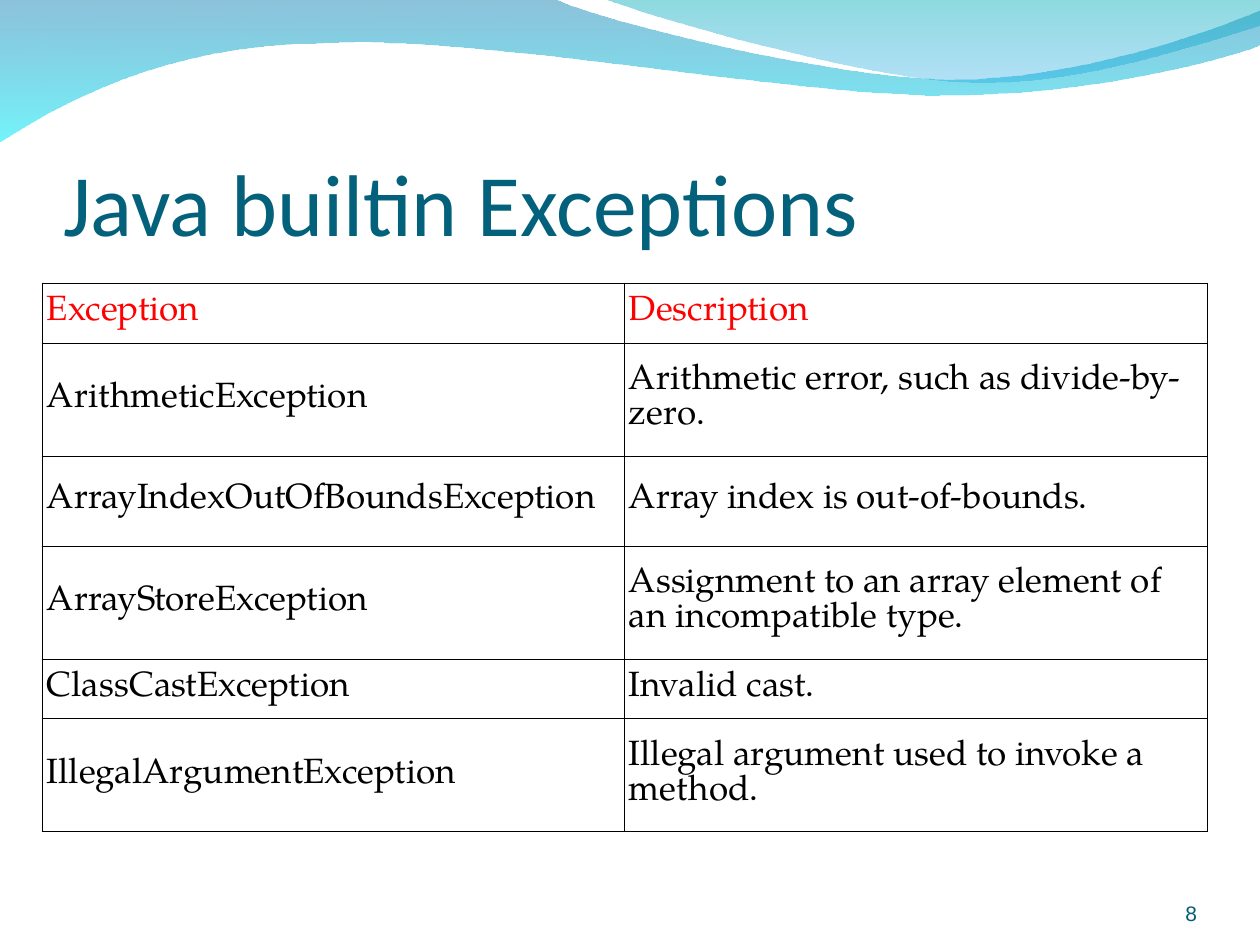
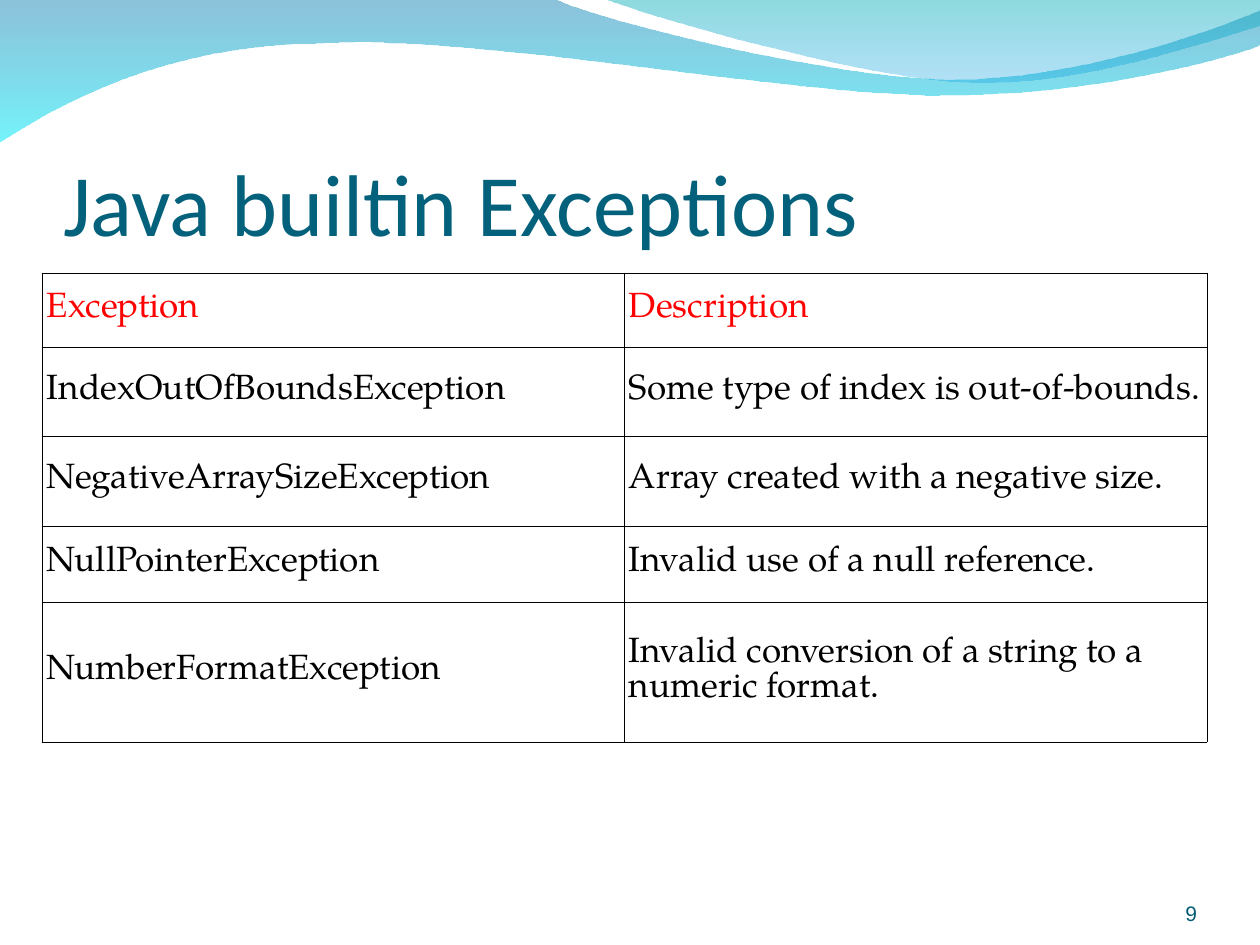
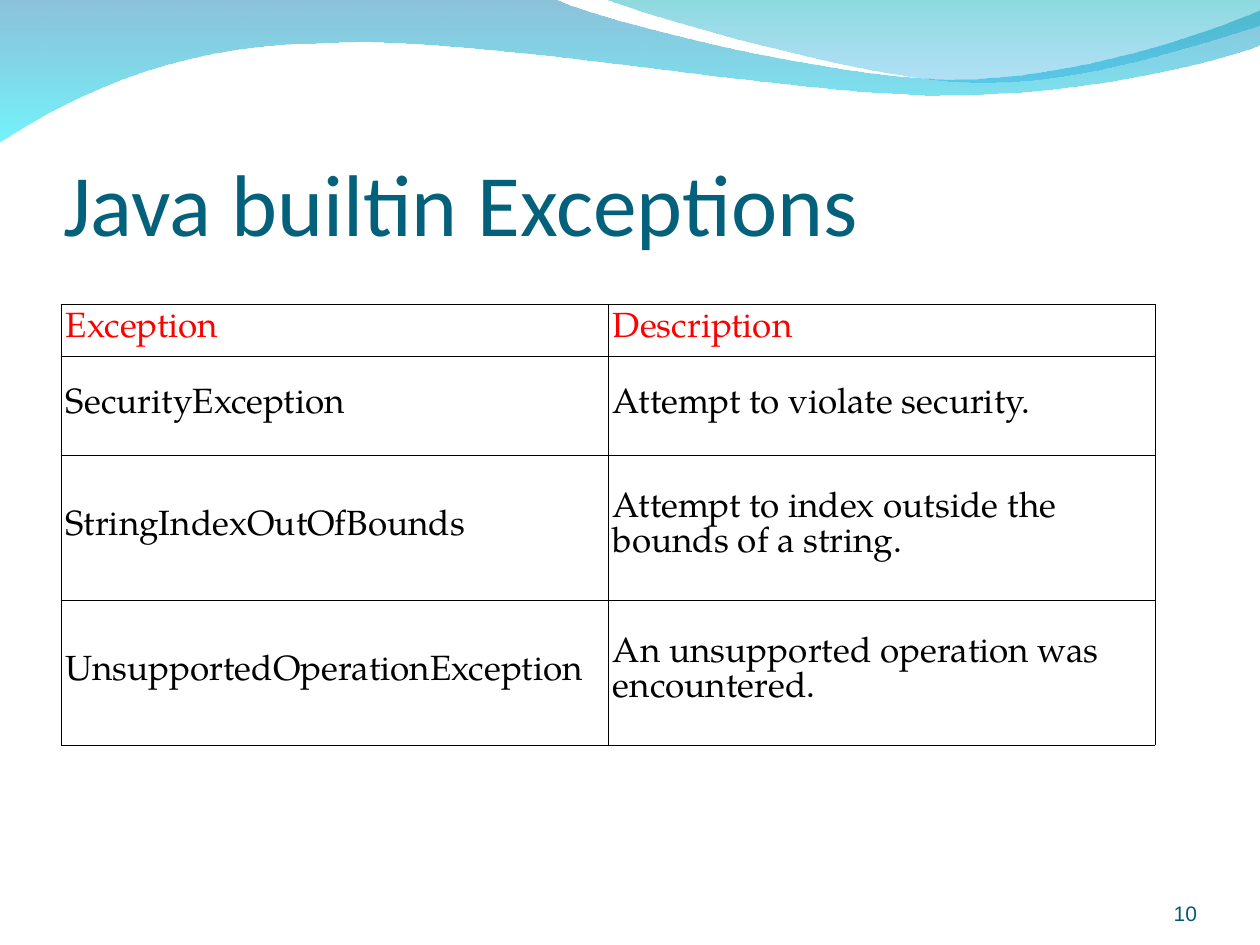
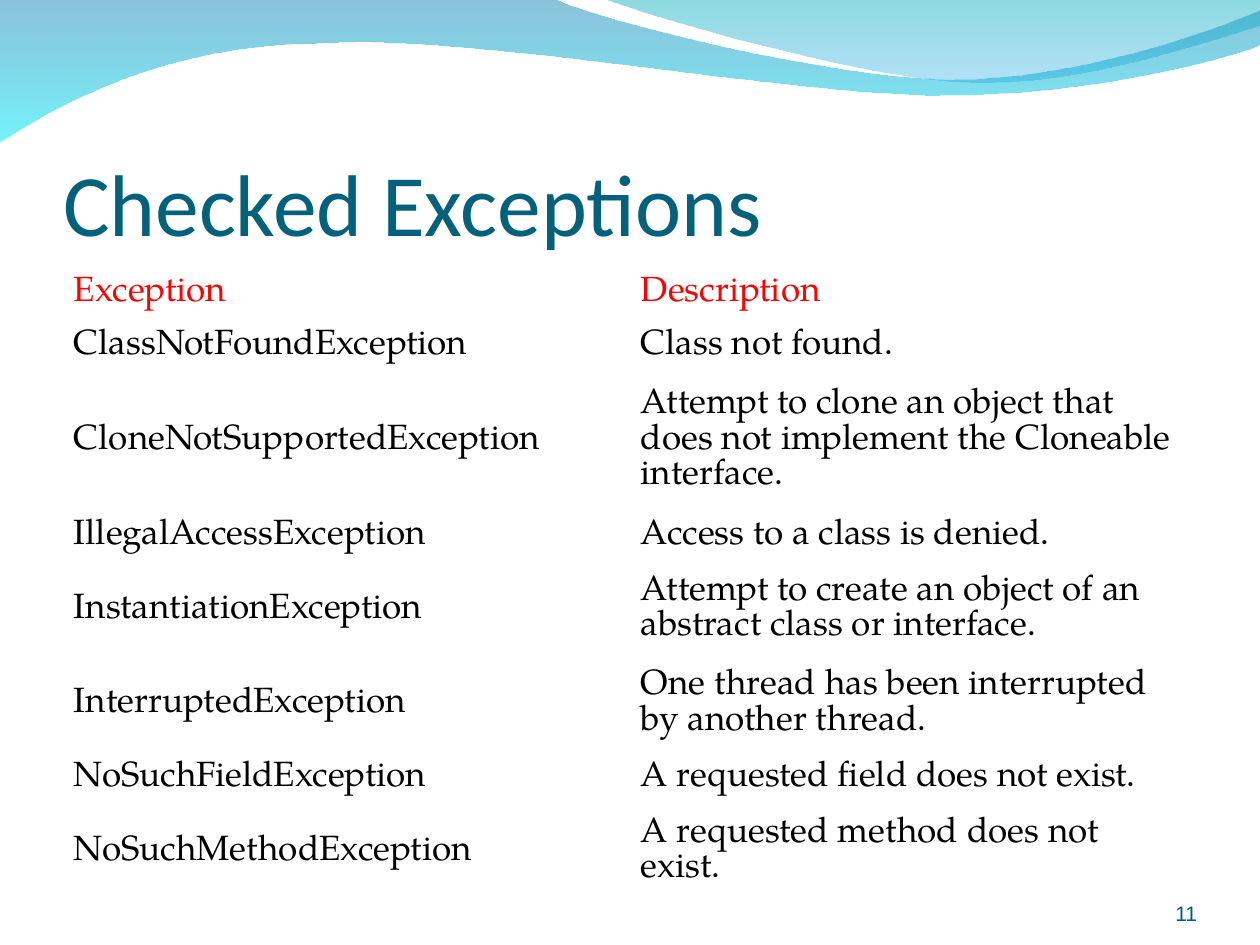
"""Build four slides on Java exceptions: wave band, title, table and page number."""
from lxml import etree
from pptx import Presentation
from pptx import util as u
from pptx.dml import color
from pptx.enum import text
from pptx.oxml import ns

SCALE = u.Inches(1) / 126
THEME = {
    "title": {"name": "Calibri", "size": u.Pt(50), "rgb": "04617B"},
    "head": {"name": "TeX Gyre Pagella", "size": u.Pt(20), "rgb": "FF0000"},
    "body": {"name": "TeX Gyre Pagella", "size": u.Pt(20), "rgb": "000000"},
    "number": {"name": "Arial", "size": u.Pt(12), "rgb": "045C75"},
    "border": {"rgb": "000000", "width": u.Pt(0.45)},
    "wide_wave": [("0079AF", 45), ("00EBF8", 55)],
    "short_wave": [("00ADB6", 45), ("009BE5", 30)],
}
PLAIN_TABLE = "{2D5ABB26-0587-4C30-8999-92F81FD0307C}"
FIRST_NUMBER = 8

WAVES = [
    ("wide_wave", (0, -1), [
        [(554, -1)],
        [(600, 21), (837, 79), (955, 79)],
        [(1075, 79), (1207, 33), (1260, 11)],
        [(1261, 45)],
        [(1239, 55), (1096, 96), (940, 95)],
        [(784, 95), (481, 35), (324, 43)],
        [(163, 44), (58, 105), (-1, 142)],
    ]),
    ("short_wave", (604, -1), [
        [(641, 14), (859, 78), (969, 82)],
        [(1079, 87), (1211, 40), (1260, 26)],
        [(1260, 0)],
    ]),
]

HEADER = ("Exception", "Description")
SLIDES = [
    {"title": "Java builtin Exceptions", "at": (42, 283), "columns": (582, 583),
     "inset": 5, "bordered": True, "heights": (60, 113, 90, 113, 60, 113),
     "rows": [
         ("ArithmeticException", "Arithmetic error, such as divide-by-zero."),
         ("ArrayIndexOutOfBoundsException", "Array index is out-of-bounds."),
         ("ArrayStoreException", "Assignment to an array element of an incompatible type."),
         ("ClassCastException", "Invalid cast."),
         ("IllegalArgumentException", "Illegal argument used to invoke a method."),
     ]},
    {"title": "Java builtin Exceptions", "at": (42, 273), "columns": (582, 583),
     "inset": 5, "bordered": True, "heights": (74, 89, 90, 76, 140),
     "rows": [
         ("IndexOutOfBoundsException", "Some type of index is out-of-bounds."),
         ("NegativeArraySizeException", "Array created with a negative size."),
         ("NullPointerException", "Invalid use of a null reference."),
         ("NumberFormatException", "Invalid conversion of a string to a numeric format."),
     ]},
    {"title": "Java builtin Exceptions", "at": (61, 304), "columns": (547, 547),
     "inset": 5, "bordered": True, "heights": (52, 99, 145, 145),
     "rows": [
         ("SecurityException", "Attempt to violate security."),
         ("StringIndexOutOfBounds", "Attempt to index outside the bounds of a string."),
         ("UnsupportedOperationException", "An unsupported operation was encountered."),
     ]},
    {"title": "Checked Exceptions", "at": (63, 267), "columns": (567, 567),
     "inset": 11, "bordered": False, "heights": (53, 53, 137, 53, 95, 94, 53, 95),
     "rows": [
         ("ClassNotFoundException", "Class not found."),
         ("CloneNotSupportedException",
          "Attempt to clone an object that does not implement the Cloneable interface."),
         ("IllegalAccessException", "Access to a class is denied."),
         ("InstantiationException",
          "Attempt to create an object of an abstract class or interface."),
         ("InterruptedException", "One thread has been interrupted by another thread."),
         ("NoSuchFieldException", "A requested field does not exist."),
         ("NoSuchMethodException", "A requested method does not exist."),
     ]},
]


def px(*lengths):
    """Turn px lengths into EMU."""
    return [u.Emu(round(length * SCALE)) for length in lengths]


def write(frame, words, style, **layout):
    """Put one styled line of text into a frame and set frame properties."""
    for name, value in layout.items():
        setattr(frame, name, value)
    para = frame.paragraphs[0]
    span = para.add_run()
    span.text = words
    for name, value in THEME[style].items():
        if name == "rgb":
            span.font.color.rgb = color.RGBColor.from_string(value)
        else:
            setattr(span.font, name, value)
    return para


deck = Presentation()
deck.slide_width, deck.slide_height = px(1260, 945)
layout = deck.slide_layouts[5]
pages = [deck.slides.add_slide(layout) for _ in SLIDES]

for depth, (style, start, segments) in enumerate(WAVES):
    builder = pages[0].shapes.build_freeform(*px(*start))
    builder.add_line_segments([px(*point) for segment in segments for point in segment])
    wave = builder.convert_to_shape()
    outline = wave.element.find(".//" + ns.qn("a:path"))
    lines = iter(outline.findall(ns.qn("a:lnTo")))
    for segment in segments:
        parts = [next(lines) for _ in segment]
        if len(parts) == 3:
            curve = outline.makeelement(ns.qn("a:cubicBezTo"))
            parts[0].addprevious(curve)
            for part in parts:
                curve.append(part[0])
                outline.remove(part)
    wave.shadow.inherit = False
    wave.line.fill.background()
    wave.fill.gradient()
    wave.fill.gradient_angle = 270
    for stop, (shade, _) in zip(wave.fill.gradient_stops, THEME[style]):
        stop.color.rgb = color.RGBColor.from_string(shade)
    shades = wave.element.iter(ns.qn("a:srgbClr"))
    for position, (shade, (_, opacity)) in enumerate(zip(list(shades), THEME[style])):
        wave.fill.gradient_stops[position].position = position
        etree.SubElement(shade, ns.qn("a:alpha"), val=str(opacity * 1000))
    layout.shapes.element.insert(2 + depth, wave.element)

for number, (page, content) in enumerate(zip(pages, SLIDES), FIRST_NUMBER):
    title = page.shapes.title
    title.left, title.top, title.width, title.height = px(63, 97, 1134, 157)
    para = write(title.text_frame, content["title"], "title", word_wrap=True,
                 auto_size=text.MSO_AUTO_SIZE.NONE, vertical_anchor=text.MSO_ANCHOR.BOTTOM,
                 margin_left=0, margin_right=0, margin_top=px(6)[0], margin_bottom=0)
    para.alignment = text.PP_ALIGN.LEFT

    rows = [HEADER, *content["rows"]]
    area = px(*content["at"], sum(content["columns"]), sum(content["heights"]))
    holder = page.shapes.add_table(len(rows), len(HEADER), *area)
    table = holder.table
    table.first_row = table.horz_banding = False
    holder.element.find(".//" + ns.qn("a:tableStyleId")).text = PLAIN_TABLE
    for column, width in zip(table.columns, px(*content["columns"])):
        column.width = width
    side, edge = px(content["inset"], 6)
    for row, height, words in zip(table.rows, px(*content["heights"]), rows):
        row.height = height
        for cell, phrase in zip(row.cells, words):
            cell.vertical_anchor = text.MSO_ANCHOR.MIDDLE
            cell.margin_left = cell.margin_right = side
            cell.margin_top = cell.margin_bottom = edge
            cell.fill.background()
            write(cell.text_frame, phrase, "head" if words is HEADER else "body")
            if content["bordered"]:
                for order, tag in enumerate(("a:lnL", "a:lnR", "a:lnT", "a:lnB")):
                    properties = cell.fill._xPr
                    border = etree.Element(ns.qn(tag), w=str(THEME["border"]["width"]))
                    ink = etree.SubElement(border, ns.qn("a:solidFill"))
                    etree.SubElement(ink, ns.qn("a:srgbClr"), val=THEME["border"]["rgb"])
                    properties.insert(order, border)

    box = page.shapes.add_textbox(*px(1092, 876, 105, 50))
    para = write(box.text_frame, str(number), "number", word_wrap=True,
                 vertical_anchor=text.MSO_ANCHOR.BOTTOM, margin_left=0,
                 margin_right=0, margin_top=0, margin_bottom=0)
    para.alignment = text.PP_ALIGN.RIGHT
    para.space_before = u.Pt(3)

deck.save("out.pptx")
